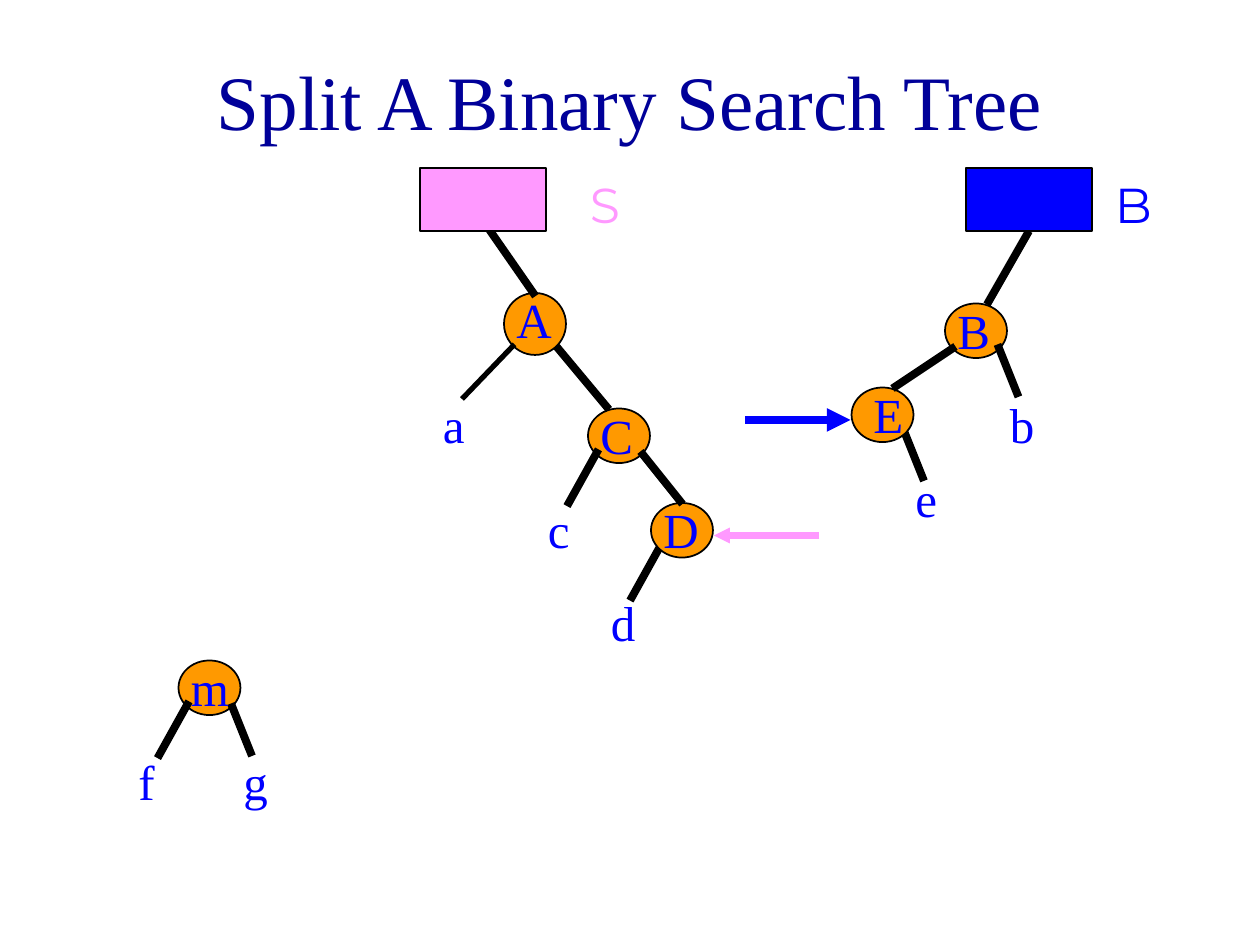
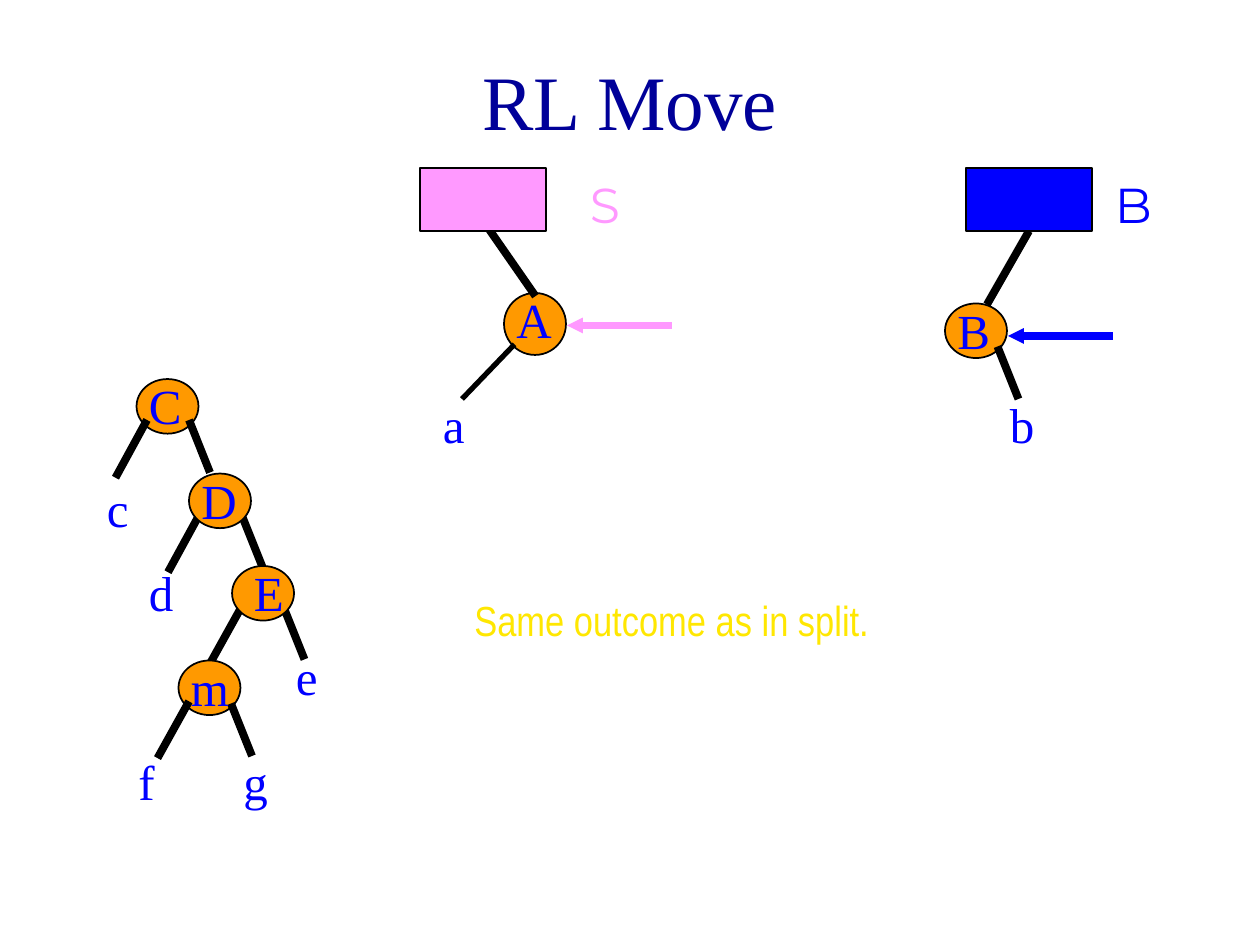
"""Build two slides that compare a binary search tree split with an RL move."""
from lxml import etree
from pptx import Presentation
from pptx.dml.color import RGBColor
from pptx.enum.shapes import MSO_CONNECTOR, MSO_SHAPE
from pptx.enum.text import MSO_ANCHOR, MSO_AUTO_SIZE, PP_ALIGN
from pptx.oxml.ns import qn
from pptx.util import Pt

PX = 7620
STRAIGHT = MSO_CONNECTOR.STRAIGHT
OVAL, RECTANGLE = MSO_SHAPE.OVAL, MSO_SHAPE.RECTANGLE
MIDDLE, CENTER = MSO_ANCHOR.MIDDLE, PP_ALIGN.CENTER
GROW = MSO_AUTO_SIZE.SHAPE_TO_FIT_TEXT

NAVY = RGBColor(0x00, 0x00, 0x99)
BLUE = RGBColor(0x00, 0x00, 0xFF)
PINK = RGBColor(0xFF, 0x99, 0xFF)
ORANGE = RGBColor(0xFF, 0x99, 0x00)
YELLOW = RGBColor(0xFF, 0xE7, 0x01)
BLACK = RGBColor(0x00, 0x00, 0x00)
SERIF, SANS, NARROW = "Times New Roman", "Montserrat", "Arial Narrow"

HEADERS = [("B", 920, 1050, BLUE), ("S", 400, 550, PINK)]
SHARED_NODES = [("A", 480, 270), ("B", 900, 280), ("m", 170, 620)]
SHARED_LEAVES = [("a", 410, 370), ("b", 950, 370), ("f", 120, 710), ("g", 220, 710)]
SHARED_EDGES = [
    (460, 210, 510, 282), (980, 220, 940, 290),
    (180, 668, 150, 722), (220, 670, 240, 720),
]

SLIDES = [
    {
        "title": "Split A Binary Search Tree",
        "nodes": [("C", 560, 380), ("D", 620, 470), ("E", 820, 360)],
        "leaves": [("c", 510, 470), ("d", 570, 558), ("e", 860, 440)],
        "edges_under": [(630, 518, 600, 572), (860, 408, 880, 458)],
        "edges_over": [
            (950, 328, 970, 378), (570, 428, 540, 482), (530, 330, 580, 390),
            (610, 430, 650, 480), (910, 330, 850, 370),
        ],
        "pointers": [(780, 510, 680, 510, PINK, "sm"), (710, 400, 810, 400, BLUE, "med")],
        "remark": None,
    },
    {
        "title": "RL Move",
        "nodes": [("C", 130, 352), ("D", 180, 442), ("E", 230, 530)],
        "leaves": [("c", 90, 450), ("d", 130, 530), ("e", 270, 610)],
        "edges_under": [
            (190, 490, 160, 545), (230, 490, 250, 540),
            (230, 578, 200, 632), (270, 578, 290, 628),
        ],
        "edges_over": [
            (950, 330, 970, 380), (140, 400, 110, 455), (180, 400, 200, 450),
        ],
        "pointers": [(640, 310, 540, 310, PINK, "sm"), (1060, 320, 960, 320, BLUE, "sm")],
        "remark": "Same outcome as in split.",
    },
]


def add_line(slide, ends, color=BLACK, width=4.5, head=None):
    line = slide.shapes.add_connector(STRAIGHT, *(end * PX for end in ends))
    line.line.color.rgb = color
    line.line.width = Pt(width)
    if head:
        etree.SubElement(line.line._get_or_add_ln(), qn("a:tailEnd"), type="triangle", w=head, len=head)
    etree.SubElement(line._element.spPr, qn("a:effectLst"))


def add_label(slide, text, x, y, width=60, color=BLUE, font=SERIF):
    label = slide.shapes.add_textbox(x * PX, y * PX, width * PX, 68 * PX)
    label.text_frame.word_wrap = True
    label.text_frame.auto_size = GROW
    paragraph = label.text_frame.paragraphs[0]
    paragraph.text = text
    paragraph.space_before = Pt(17.5)
    paragraph.font.size = Pt(28)
    paragraph.font.name = font
    paragraph.font.color.rgb = color


prs = Presentation()
prs.slide_width, prs.slide_height = 1200 * PX, 900 * PX

for content in SLIDES:
    slide = prs.slides.add_slide(prs.slide_layouts[5])
    title = slide.shapes.title
    title.left, title.top, title.width, title.height = 90 * PX, 20 * PX, 1020 * PX, 150 * PX
    title.text_frame.vertical_anchor = MIDDLE
    heading = title.text_frame.paragraphs[0]
    heading.text = content["title"]
    heading.alignment = CENTER
    heading.font.size = Pt(44)
    heading.font.name = SERIF
    heading.font.color.rgb = NAVY

    nodes = SHARED_NODES + content["nodes"]
    ovals = [
        (OVAL, x - 9 if name == "E" else x, y + 9, 59, 59 if name == "A" else 52, ORANGE)
        for name, x, y in nodes
    ]
    boxes = [(RECTANGLE, x, 160, 120, 60, color) for _, x, _, color in HEADERS]

    for edge in content["edges_under"]:
        add_line(slide, edge)
    for outlines in (ovals, boxes):
        for kind, x, y, width, height, color in outlines:
            outline = slide.shapes.add_shape(kind, x * PX, y * PX, width * PX, height * PX)
            outline.shadow.inherit = False
            outline.fill.solid()
            outline.fill.fore_color.rgb = color
            outline.line.color.rgb = BLACK
            outline.line.width = Pt(1)
        if outlines is ovals:
            for edge in SHARED_EDGES + content["edges_over"]:
                add_line(slide, edge)
            add_line(slide, (490, 328, 440, 380), width=3)

    for name, x, y in nodes + SHARED_LEAVES + content["leaves"]:
        add_label(slide, name, x, y)
    for name, _, x, color in HEADERS:
        add_label(slide, name, x, 160, 110, color, SANS)
    for *ends, color, head in content["pointers"]:
        add_line(slide, ends, color, head=head)

    if content["remark"]:
        remark = slide.shapes.add_textbox(440 * PX, 560 * PX, 625 * PX, 115 * PX)
        remark.text_frame.word_wrap = False
        note = remark.text_frame.paragraphs[0]
        note.text = content["remark"]
        note.font.size = Pt(24)
        note.font.name = NARROW
        note.font.color.rgb = YELLOW

prs.save("out.pptx")
